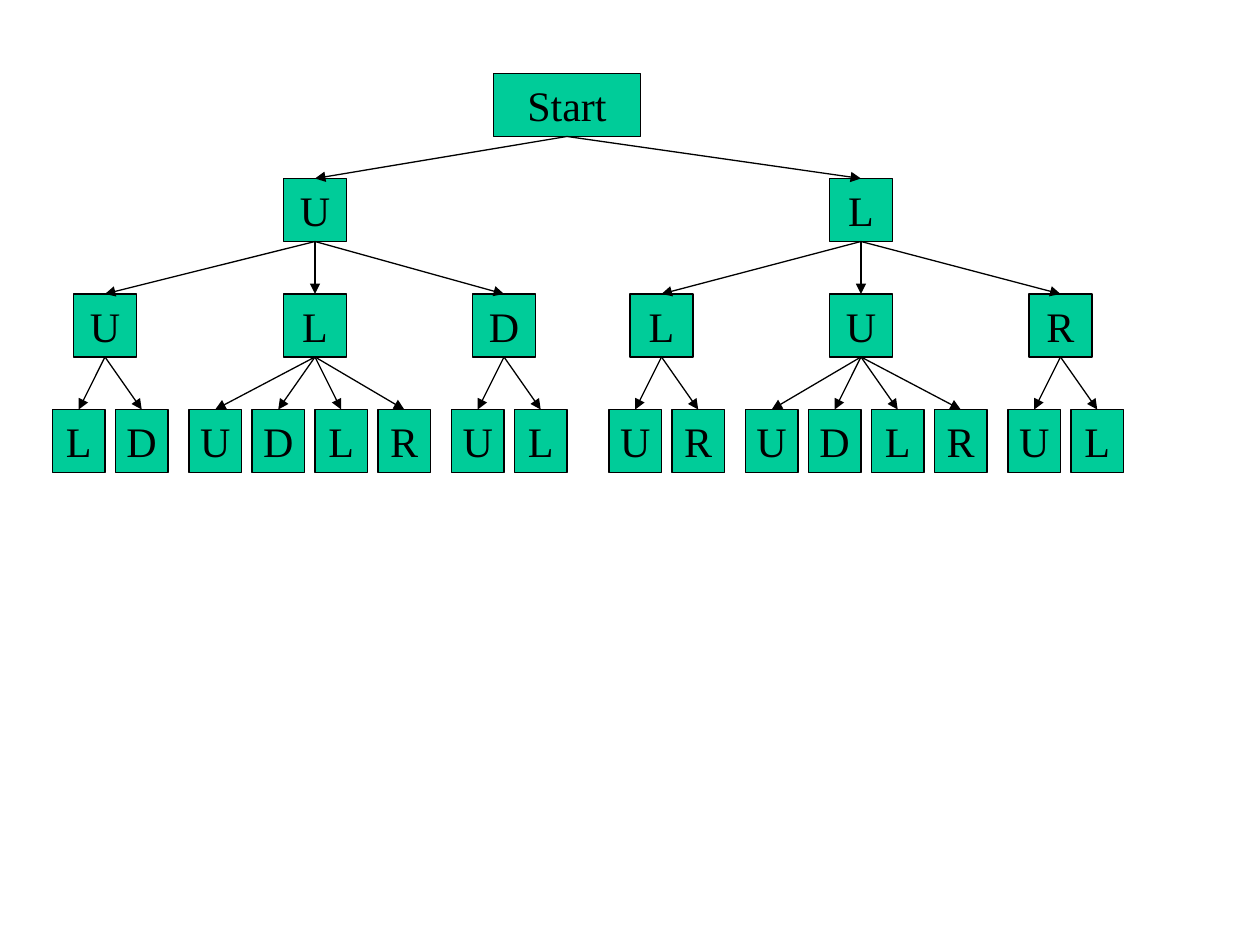
"""Draw a search tree of moves from the start state, three levels deep."""
from lxml import etree
from pptx import Presentation, util as u
from pptx.dml.color import RGBColor
from pptx.enum import shapes, text
from pptx.oxml.ns import qn

COLOURS = {"box": "00CC99", "ink": "000000"}
FONT = "Times New Roman"

ROOT = ("Start", 54)
BRANCHES = [
    ("U", 30, [("U", 10, "LD"), ("L", 30, "UDLR"), ("D", 48, "UL")]),
    ("L", 82, [("L", 63, "UR"), ("U", 82, "UDLR"), ("R", 101, "UL")]),
]

UNIT = u.Inches(1) / 12
ROW_TOPS = [7, 17, 28, 39]
ROW_WIDTHS = [14, 6, 6, 5]
BOX_HEIGHT = 6
FIRST_LEAF, LEAF_PITCH, GROUP_GAP, BRANCH_GAP = 7.5, 6, 1, 2


def colour(name):
    return RGBColor.from_string(COLOURS[name])


def add_box(slide, label, centre, row):
    width = ROW_WIDTHS[row]
    bounds = (centre - width / 2, ROW_TOPS[row], width, BOX_HEIGHT)
    box = slide.shapes.add_shape(shapes.MSO_SHAPE.RECTANGLE,
                                 *(round(value * UNIT) for value in bounds))
    box.shadow.inherit = False
    box.fill.solid()
    box.fill.fore_color.rgb = colour("box")
    box.line.color.rgb = colour("ink")
    box.line.width = u.Pt(0.75)
    frame = box.text_frame
    frame.word_wrap = False
    frame.vertical_anchor = text.MSO_ANCHOR.MIDDLE
    paragraph = frame.paragraphs[0]
    paragraph.text = label
    paragraph.alignment = text.PP_ALIGN.CENTER
    paragraph.font.name = FONT
    paragraph.font.size = u.Pt(24)
    paragraph.font.color.rgb = colour("ink")
    return box


def add_arrow(slide, parent, child):
    arrow = slide.shapes.add_connector(shapes.MSO_CONNECTOR.STRAIGHT, 0, 0, 0, 0)
    arrow.begin_connect(parent, 2)
    arrow.end_connect(child, 0)
    arrow.line.color.rgb = colour("ink")
    arrow.line.width = u.Pt(0.75)
    etree.SubElement(arrow.line._get_or_add_ln(), qn("a:tailEnd"), type="triangle")
    etree.SubElement(arrow._element.spPr, qn("a:effectLst"))


def add_child(slide, parent, label, centre, row):
    child = add_box(slide, label, centre, row)
    add_arrow(slide, parent, child)
    return child


def main():
    presentation = Presentation()
    presentation.slide_width, presentation.slide_height = u.Inches(10), u.Inches(7.5)
    slide = presentation.slides.add_slide(presentation.slide_layouts[6])
    start = add_box(slide, *ROOT, 0)
    leaf_centre = FIRST_LEAF
    for label, centre, nodes in BRANCHES:
        branch = add_child(slide, start, label, centre, 1)
        for node_label, node_centre, leaves in nodes:
            node = add_child(slide, branch, node_label, node_centre, 2)
            for leaf in leaves:
                add_child(slide, node, leaf, leaf_centre, 3)
                leaf_centre += LEAF_PITCH
            leaf_centre += GROUP_GAP
        leaf_centre += BRANCH_GAP
    presentation.save("out.pptx")


if __name__ == "__main__":
    main()
